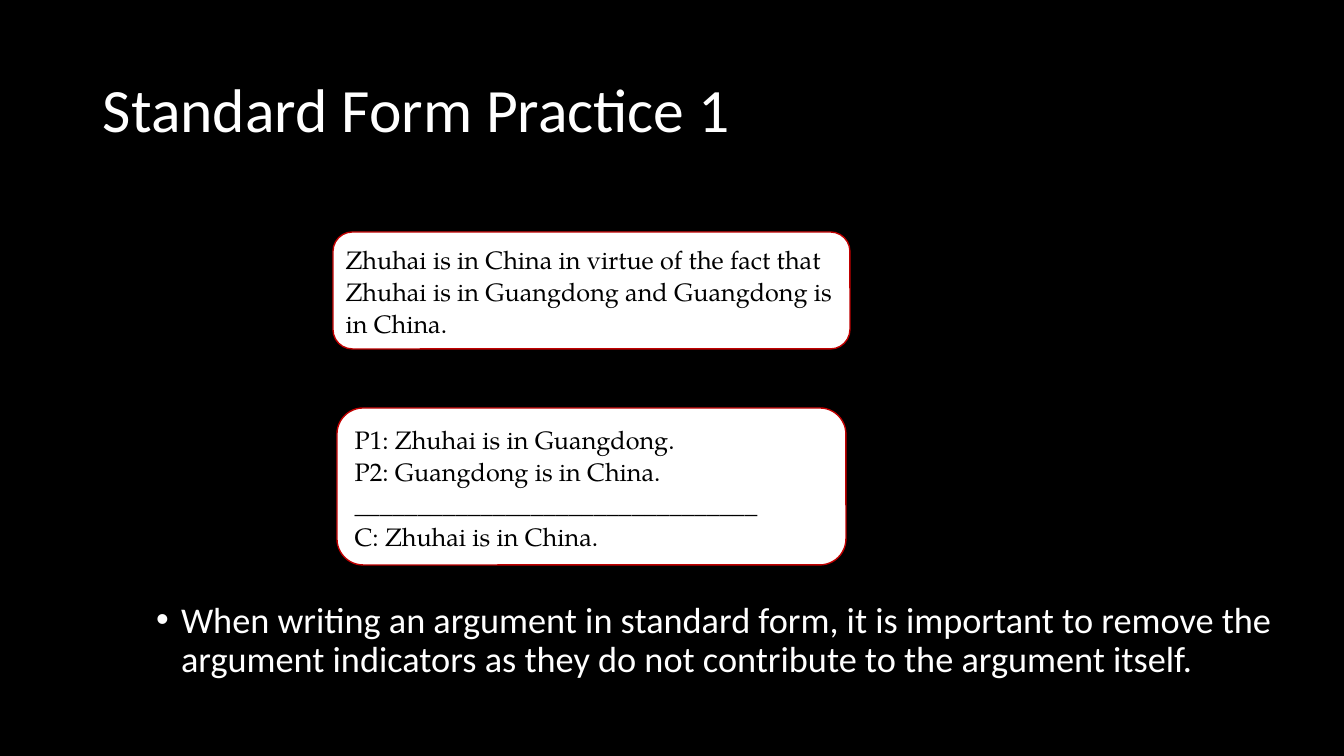
from pptx import Presentation
from pptx.dml.color import RGBColor as Rgb
from pptx.enum.shapes import MSO_SHAPE as Shape
from pptx.enum.text import MSO_ANCHOR as Anchor, PP_ALIGN as Align
from pptx.oxml.ns import qn
from pptx.util import Emu, Pt
from lxml.etree import SubElement

COLORS = {"black": "000000", "white": "FFFFFF", "red": "C00000"}
SANS, SERIF = "Calibri", "TeX Gyre Pagella"


def px(pixels):
    return Emu(round(pixels * 914400 / 100.8))


def color(name):
    return Rgb.from_string(COLORS[name])


def write(box, lines, font, size, ink, spacing, anchor=Anchor.MIDDLE,
          insets=(10, 5), before=None, bullet=None, indent=25):
    frame = box.text_frame
    frame.word_wrap = True
    frame.vertical_anchor = anchor
    frame.margin_left = frame.margin_right = px(insets[0])
    frame.margin_top = frame.margin_bottom = px(insets[1])
    for index, line in enumerate(lines):
        para = frame.add_paragraph() if index else frame.paragraphs[0]
        para.alignment = Align.LEFT
        para.line_spacing = spacing
        if before:
            para.space_before = Pt(before)
        if bullet:
            properties = para._p.get_or_add_pPr()
            properties.set("marL", str(px(indent)))
            properties.set("indent", str(-px(indent)))
            SubElement(properties, qn("a:buFont"), typeface="Arial")
            SubElement(properties, qn("a:buChar"), char=bullet)
        span = para.add_run()
        span.text = line
        span.font.name = font
        span.font.size = Pt(size)
        span.font.color.rgb = color(ink)


class Slide:
    def __init__(self, deck):
        self.page = deck.slides.add_slide(deck.slide_layouts[6])
        fill = self.page.background.fill
        fill.solid()
        fill.fore_color.rgb = color("black")

    def text(self, area, lines, size, **style):
        box = self.page.shapes.add_textbox(*map(px, area))
        write(box, lines, SANS, size, "white", 0.9, **style)

    def card(self, area, lines, **style):
        box = self.page.shapes.add_shape(Shape.ROUNDED_RECTANGLE, *map(px, area))
        box.shadow.inherit = False
        box.fill.solid()
        box.fill.fore_color.rgb = color("white")
        box.line.color.rgb = color("red")
        box.line.width = Pt(1)
        write(box, lines, SERIF, 18, "black", 1.07, **style)


deck = Presentation()
deck.slide_width, deck.slide_height = px(1344), px(756)
slide = Slide(deck)
slide.text((93, 40, 1159, 146), ["Standard Form Practice 1"], 44)
slide.text(
    (146, 597, 1159, 115),
    ["When writing an argument in standard form, it is important to remove the "
     "argument indicators as they do not contribute to the argument itself."],
    25.9, anchor=Anchor.TOP, before=10, bullet="•")
slide.card(
    (333, 232, 517, 117),
    ["Zhuhai is in China in virtue of the fact that "
     "Zhuhai is in Guangdong and Guangdong is in China."],
    insets=(7, 4))
slide.card(
    (337, 408, 509, 157),
    ["P1: Zhuhai is in Guangdong.", "P2: Guangdong is in China.",
     "_" * 32, "C: Zhuhai is in China."])
deck.save("out.pptx")
